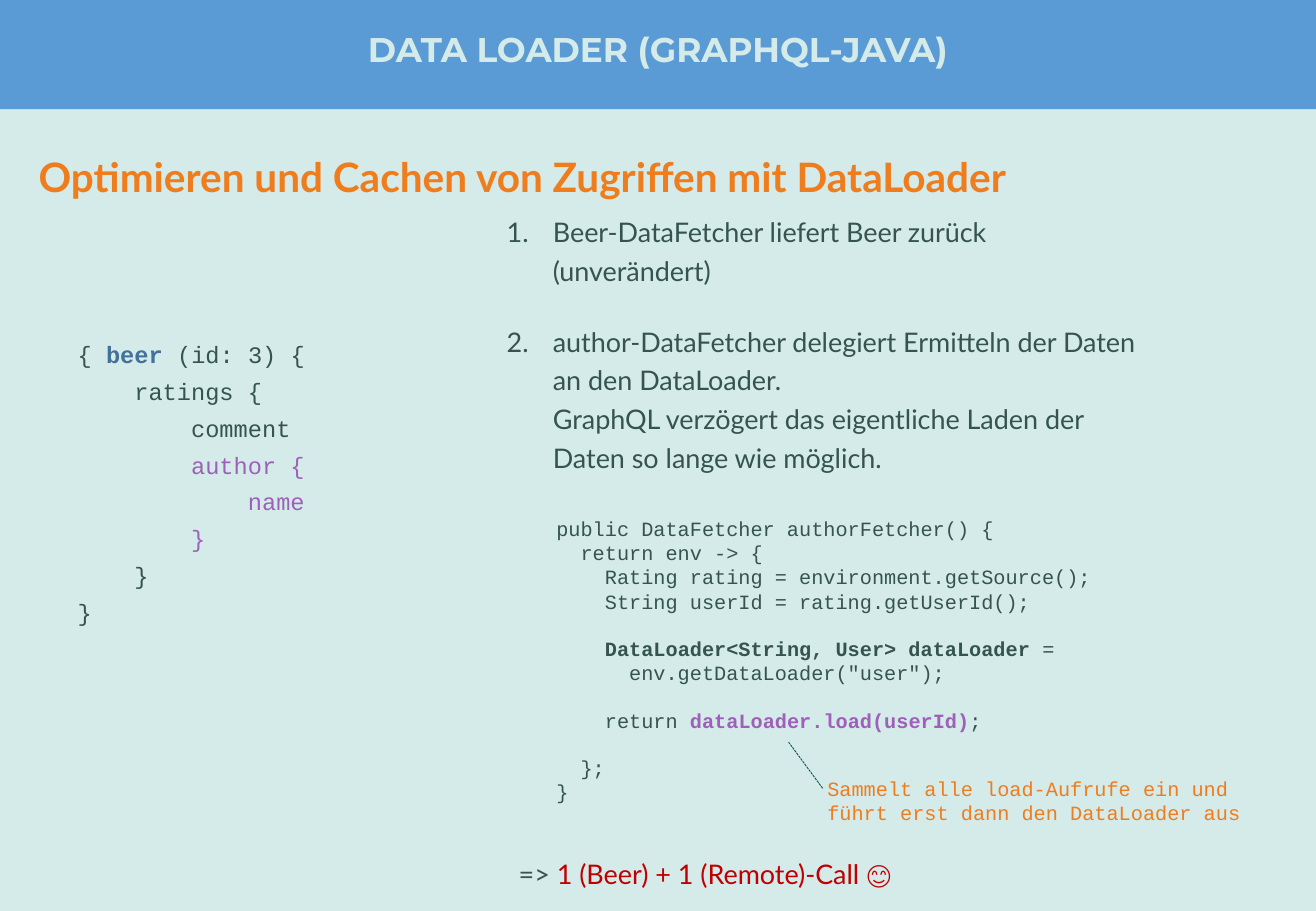
"""Builds the slide on data loaders in GraphQL-Java."""
from lxml import etree
from pptx import Presentation
from pptx.dml.color import RGBColor
from pptx.enum.dml import MSO_LINE
from pptx.enum.shapes import MSO_CONNECTOR, MSO_SHAPE
from pptx.enum.text import MSO_ANCHOR, MSO_AUTO_SIZE, PP_ALIGN
from pptx.oxml.ns import qn
from pptx.util import Inches, Pt

MINT = RGBColor(0xD4, 0xEB, 0xE9)
BLUE = RGBColor(0x5B, 0x9B, 0xD5)
NAVY = RGBColor(0x41, 0x71, 0x9C)
ORANGE = RGBColor(0xEF, 0x7D, 0x1D)
GREEN = RGBColor(0x36, 0x54, 0x4F)
PINE = RGBColor(0x02, 0x52, 0x49)
PURPLE = RGBColor(0x9E, 0x60, 0xB8)
RED = RGBColor(0xC0, 0x00, 0x00)

RECT = MSO_SHAPE.RECTANGLE
STRAIGHT = MSO_CONNECTOR.STRAIGHT
DASH = MSO_LINE.SQUARE_DOT
TOP, MIDDLE = MSO_ANCHOR.TOP, MSO_ANCHOR.MIDDLE
CENTER, LEFT = PP_ALIGN.CENTER, PP_ALIGN.LEFT
FIXED = MSO_AUTO_SIZE.NONE

LATO, MONO, HEAD = "Lato", "Courier New", "Montserrat"
WIDTH, HEIGHT = 10.83, 7.5
CODE_GAP, ITEM_GAP = 13.6, 19

QUERY = [
    [("{ ", GREEN, False), ("beer", NAVY, True), (" (id: 3) {", GREEN, False)],
    [("    ratings {", GREEN, False)],
    [("        comment", GREEN, False)],
    [("        author {", PURPLE, False)],
    [("            name", PURPLE, False)],
    [("        }", PURPLE, False)],
    [("    }", GREEN, False)],
    [("}", GREEN, False)],
]
FETCHER = [
    [("public DataFetcher authorFetcher() {", GREEN, False)],
    [("  return env -> {", GREEN, False)],
    [("    Rating rating = environment.getSource();", GREEN, False)],
    [("    String userId = rating.getUserId();", GREEN, False)],
    [("    ", GREEN, False), ("DataLoader<String, User> dataLoader", GREEN, True),
     (" =", GREEN, False)],
    [("      env.getDataLoader(\"user\");", GREEN, False)],
    [("    return ", GREEN, False), ("dataLoader.load(userId)", PURPLE, True),
     (";", GREEN, False)],
    [("  };", GREEN, False)],
    [("}", GREEN, False)],
]
FETCHER_GAPS = (4, 6, 7)
STEPS = [
    ["Beer-DataFetcher liefert Beer zurück", "(unverändert)"],
    ["author-DataFetcher delegiert Ermitteln der Daten", "an den DataLoader.",
     "GraphQL verzögert das eigentliche Laden der Daten so lange wie möglich."],
]


def place(shape, left, top, width, height):
    shape.left, shape.top = Inches(left), Inches(top)
    shape.width, shape.height = Inches(width), Inches(height)


def add_run(para, text, font, size, color, bold=False):
    run = para.add_run()
    run.text = text
    run.font.name, run.font.size = font, Pt(size)
    run.font.bold = bold
    run.font.color.rgb = color


def next_para(frame, index):
    return frame.add_paragraph() if index else frame.paragraphs[0]


def add_text(slide, box, lines, font, size, spacing=1.0, gaps=()):
    shape = slide.shapes.add_textbox(*map(Inches, box))
    frame = shape.text_frame
    frame.word_wrap = True
    for index, line in enumerate(lines):
        para = next_para(frame, index)
        para.line_spacing = spacing
        if index in gaps:
            para.space_before = Pt(CODE_GAP)
        for text, color, bold in line:
            add_run(para, text, font, size, color, bold)


def add_banner(slide):
    banner = slide.shapes.add_shape(RECT, 0, 0, Inches(WIDTH), Inches(0.9))
    banner.shadow.inherit = False
    banner.fill.solid()
    banner.fill.fore_color.rgb = BLUE
    banner.line.fill.background()
    slide.shapes.title.element.addprevious(banner.element)


def set_title(slide, text):
    title = slide.shapes.title
    place(title, 0, 0, WIDTH, 0.85)
    frame = title.text_frame
    frame.auto_size, frame.vertical_anchor = FIXED, MIDDLE
    frame.margin_left = frame.margin_right = 0
    frame.margin_top = frame.margin_bottom = 0
    para = frame.paragraphs[0]
    para.alignment, para.line_spacing = CENTER, 0.9
    add_run(para, text, HEAD, 20.3, MINT, True)


def set_steps(slide):
    body = slide.placeholders[1]
    place(body, 4.07, 1.67, 5.42, 2.27)
    frame = body.text_frame
    frame.auto_size, frame.vertical_anchor = FIXED, TOP
    for index, lines in enumerate(STEPS):
        para = next_para(frame, index)
        props = para._p.get_or_add_pPr()
        props.set("marL", str(Inches(0.38)))
        props.set("indent", str(Inches(-0.38)))
        etree.SubElement(props, qn("a:buFont"), typeface="+mj-lt")
        etree.SubElement(props, qn("a:buAutoNum"), type="arabicPeriod")
        para.alignment, para.line_spacing = LEFT, 1.2
        para.space_before = Pt(ITEM_GAP if index else 0)
        for row, text in enumerate(lines):
            if row:
                para.add_line_break()
            add_run(para, text, LATO, 16, GREEN)


def add_leader(slide, start, end):
    points = map(Inches, (*start, *end))
    line = slide.shapes.add_connector(STRAIGHT, *points)
    line.line.color.rgb = PINE
    line.line.width, line.line.dash_style = Pt(0.5), DASH
    etree.SubElement(line.element.spPr, qn("a:effectLst"))


def main():
    deck = Presentation()
    deck.slide_width, deck.slide_height = Inches(WIDTH), Inches(HEIGHT)
    slide = deck.slides.add_slide(deck.slide_layouts[1])
    slide.background.fill.solid()
    slide.background.fill.fore_color.rgb = MINT

    add_banner(slide)
    set_title(slide, "DATA LOADER (GRAPHQL-JAVA)")
    lead = "Optimieren und Cachen von Zugriffen mit DataLoader"
    add_text(slide, (0.22, 1.12, 10.4, 0.55), [[(lead, ORANGE, True)]], LATO, 24, 1.2)
    add_text(slide, (0.54, 2.68, 2.59, 2.53), QUERY, MONO, 14, 1.3)
    set_steps(slide)
    add_text(slide, (4.48, 4.2, 6.2, 2.52), FETCHER, MONO, 12, gaps=FETCHER_GAPS)
    note = "Sammelt alle load-Aufrufe ein und führt erst dann den DataLoader aus"
    add_text(slide, (6.71, 6.34, 3.92, 0.5), [[(note, ORANGE, False)]], MONO, 12)
    add_leader(slide, (6.77, 6.49), (6.49, 6.11))
    result = [("=> ", GREEN, False), ("1 (Beer) + 1 (Remote)-Call 😊", RED, False)]
    add_text(slide, (4.17, 6.96, 5.42, 0.41), [result], LATO, 16, 1.2)
    deck.save("out.pptx")


if __name__ == "__main__":
    main()
